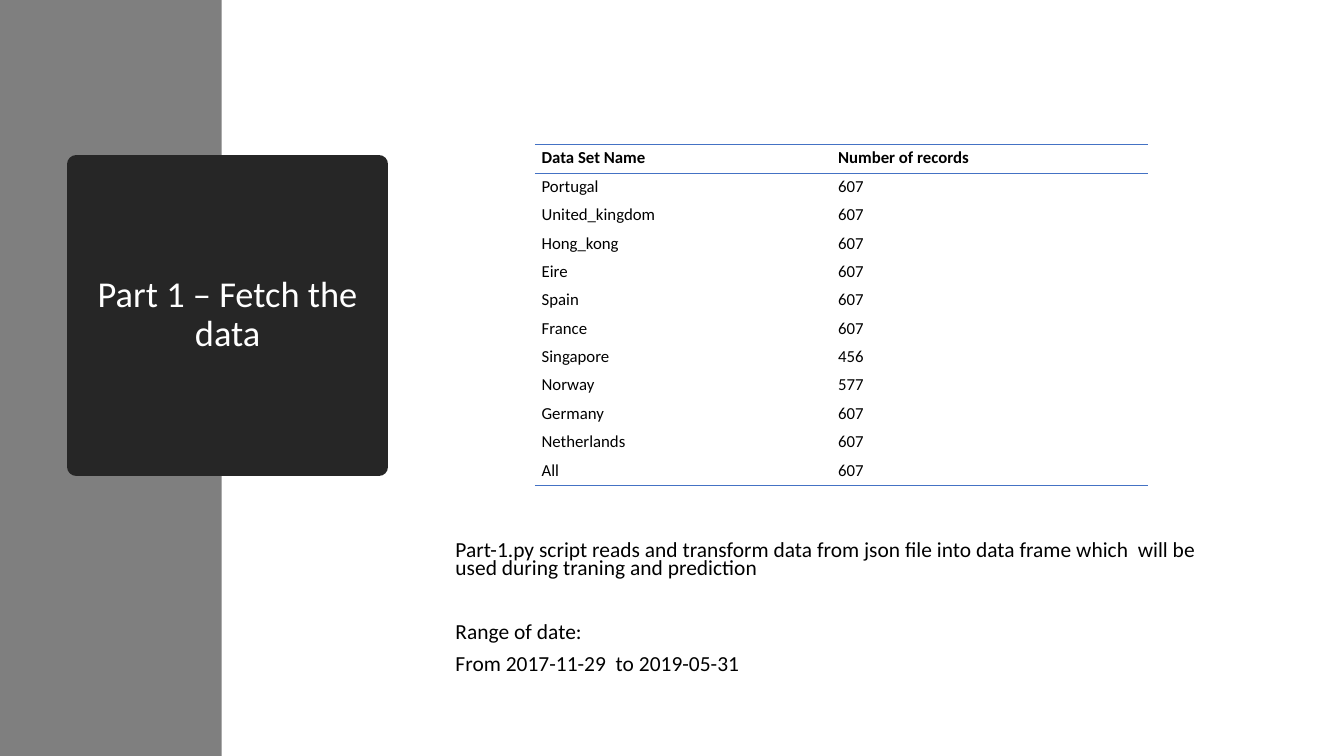
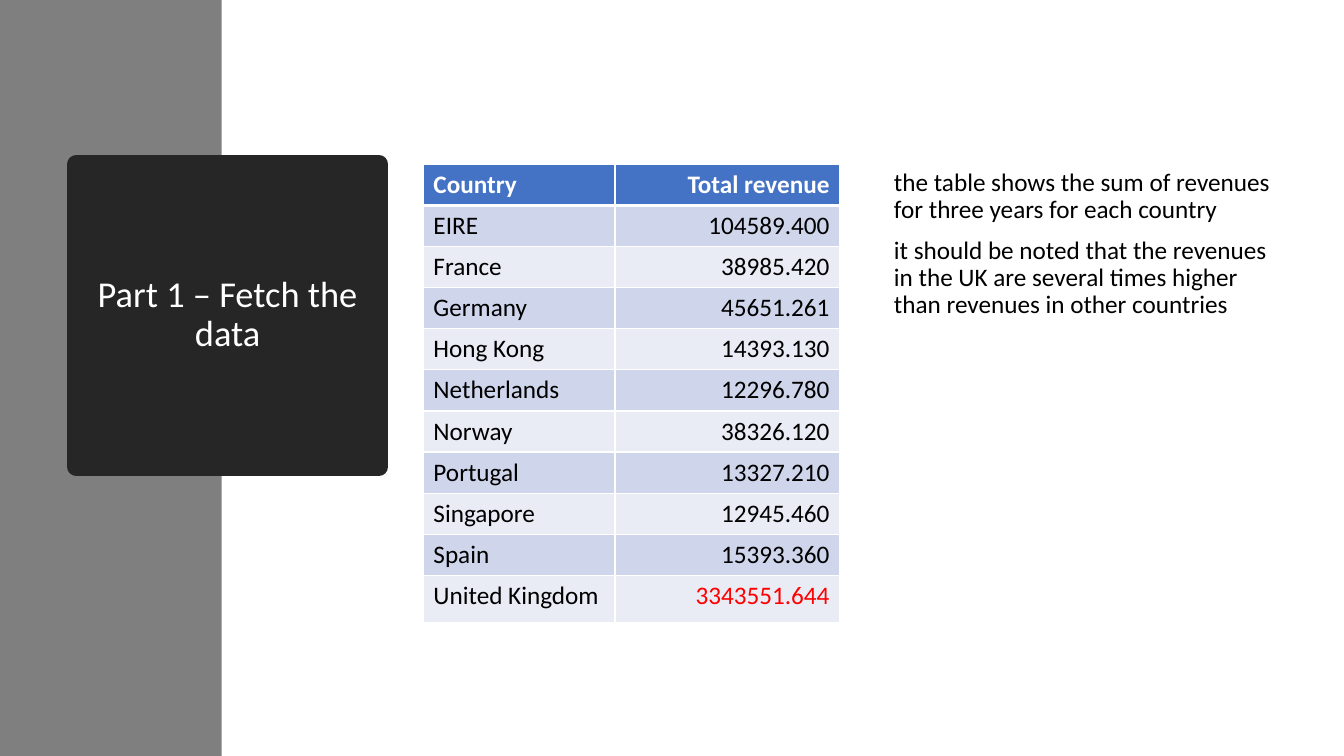
from lxml.etree import SubElement
from pptx import Presentation
from pptx.dml.color import RGBColor
from pptx.enum.shapes import MSO_SHAPE
from pptx.enum.text import MSO_ANCHOR, PP_ALIGN
from pptx.oxml.ns import qn
from pptx.util import Cm, Pt

COLORS = {
    "band": "7F7F7F",
    "card": "262626",
    "white": "FFFFFF",
    "text": "000000",
    "accent": "4472C4",
    "odd_row": "CFD5EA",
    "even_row": "E9EBF5",
    "highlight": "FF0000",
}
FONT = "Calibri"
SLIDE_WIDTH, SLIDE_HEIGHT = Cm(33.87), Cm(19.05)
TITLE = "Part 1 – Fetch the data"

RECORDS = [
    ("Data Set Name", "Number of records"),
    ("Portugal", "607"),
    ("United_kingdom", "607"),
    ("Hong_kong", "607"),
    ("Eire", "607"),
    ("Spain", "607"),
    ("France", "607"),
    ("Singapore", "456"),
    ("Norway", "577"),
    ("Germany", "607"),
    ("Netherlands", "607"),
    ("All", "607"),
]
REVENUES = [
    ("Country", "Total revenue"),
    ("EIRE", "104589.400"),
    ("France", "38985.420"),
    ("Germany", "45651.261"),
    ("Hong Kong", "14393.130"),
    ("Netherlands", "12296.780"),
    ("Norway", "38326.120"),
    ("Portugal", "13327.210"),
    ("Singapore", "12945.460"),
    ("Spain", "15393.360"),
    ("United Kingdom", "3343551.644"),
]
FETCH_NOTES = [
    ("Part-1.py script reads and transform data from json file into data frame "
     "which  will be used during traning and prediction", 10),
    ("Range of date:", 33),
    ("From 2017-11-29  to 2019-05-31", 10),
]
REVENUE_NOTES = [
    ("the table shows the sum of revenues for three years for each country", 10),
    ("it should be noted that the revenues in the UK are several times higher "
     "than revenues in other countries", 10),
]


def rgb(name):
    return RGBColor.from_string(COLORS[name])


def style_paragraph(paragraph, size, color="text", bold=False, align=PP_ALIGN.LEFT):
    paragraph.alignment = align
    paragraph.font.name = FONT
    paragraph.font.size = Pt(size)
    paragraph.font.bold = bold
    paragraph.font.color.rgb = rgb(color)


def add_block(slide, left, top, width, height, color):
    block = slide.shapes.add_shape(MSO_SHAPE.RECTANGLE, left, top, width, height)
    block.shadow.inherit = False
    block.fill.solid()
    block.fill.fore_color.rgb = rgb(color)
    block.line.fill.background()
    return block


def add_titled_slide(deck, title):
    slide = deck.slides.add_slide(deck.slide_layouts[6])
    add_block(slide, 0, 0, Cm(5.59), SLIDE_HEIGHT, "band")
    card = add_block(slide, Cm(1.93), Cm(4.14), Cm(7.62), Cm(7.62), "card")
    card.line.color.rgb = rgb("card")
    card.line.width = Pt(13.75)
    SubElement(card.line._get_or_add_ln(), qn("a:round"))
    card.text_frame.word_wrap = True
    card.text_frame.vertical_anchor = MSO_ANCHOR.MIDDLE
    heading = card.text_frame.paragraphs[0]
    heading.text = title
    heading.line_spacing = 0.9
    style_paragraph(heading, 26, "white", align=PP_ALIGN.CENTER)
    return slide


def add_notes_text(slide, left, top, width, height, notes, size, spacing):
    frame = slide.shapes.add_textbox(left, top, width, height).text_frame
    frame.word_wrap = True
    for index, (text, gap) in enumerate(notes):
        paragraph = frame.add_paragraph() if index else frame.paragraphs[0]
        paragraph.text = text
        paragraph.line_spacing = spacing
        paragraph.space_before = Pt(gap)
        style_paragraph(paragraph, size)


def set_borders(cell, borders):
    properties = cell._tc.get_or_add_tcPr()
    for side in "LRTB":
        color, width = borders.get(side, (None, 0))
        edge = SubElement(properties, qn(f"a:ln{side}"), w=str(Pt(width)))
        if color:
            fill = SubElement(edge, qn("a:solidFill"))
            SubElement(fill, qn("a:srgbClr"), val=COLORS[color])
        else:
            SubElement(edge, qn("a:noFill"))


def add_data_table(slide, left, top, widths, height, rows, style_cell):
    table = slide.shapes.add_table(
        len(rows), len(widths), left, top, sum(widths), height).table
    table.first_row = table.horz_banding = False
    for column, width in zip(table.columns, widths):
        column.width = width
    for row_index, values in enumerate(rows):
        for column_index, value in enumerate(values):
            cell = table.cell(row_index, column_index)
            cell.text = value
            style_cell(cell, row_index, column_index)
    return table


def style_record_cell(cell, row, column):
    cell.margin_left = cell.margin_right = Cm(0.17)
    cell.margin_top = cell.margin_bottom = Cm(0.08)
    style_paragraph(cell.text_frame.paragraphs[0], 12, bold=row == 0)
    rule = ("accent", 1)
    borders = {}
    if row in (0, 1):
        borders["T"] = rule
    if row in (0, len(RECORDS) - 1):
        borders["B"] = rule
    set_borders(cell, borders)
    cell.fill.background()


def style_revenue_cell(cell, row, column):
    header = row == 0
    if header:
        fill, color = "accent", "white"
    else:
        fill, color = "odd_row" if row % 2 else "even_row", "text"
    if (row, column) == (len(REVENUES) - 1, 1):
        color = "highlight"
    style_paragraph(cell.text_frame.paragraphs[0], 18, color, header,
                    PP_ALIGN.RIGHT if column else PP_ALIGN.LEFT)
    borders = {side: ("white", 1) for side in "LRTB"}
    if header:
        borders["B"] = ("white", 3)
    if row == 1:
        borders["T"] = ("white", 3)
    set_borders(cell, borders)
    cell.fill.solid()
    cell.fill.fore_color.rgb = rgb(fill)


def add_records_slide(deck):
    slide = add_titled_slide(deck, TITLE)
    add_notes_text(slide, Cm(11.23), Cm(13.56), Cm(19.96), Cm(3.58),
                   FETCH_NOTES, 15.3, 0.7)
    add_data_table(slide, Cm(13.48), Cm(3.65), (Cm(7.47), Cm(7.98)), Cm(8.59),
                   RECORDS, style_record_cell)


def add_revenue_slide(deck):
    slide = add_titled_slide(deck, TITLE)
    add_notes_text(slide, Cm(22.28), Cm(4.14), Cm(10.34), Cm(5.38),
                   REVENUE_NOTES, 18, 0.9)
    revenues = add_data_table(slide, Cm(10.67), Cm(4.14), (Cm(4.83), Cm(5.66)),
                              Cm(11.4), REVENUES, style_revenue_cell)
    revenues.rows[len(REVENUES) - 1].height = Cm(1.19)


def main():
    deck = Presentation()
    deck.slide_width, deck.slide_height = SLIDE_WIDTH, SLIDE_HEIGHT
    add_records_slide(deck)
    add_revenue_slide(deck)
    deck.save("out.pptx")


if __name__ == "__main__":
    main()
